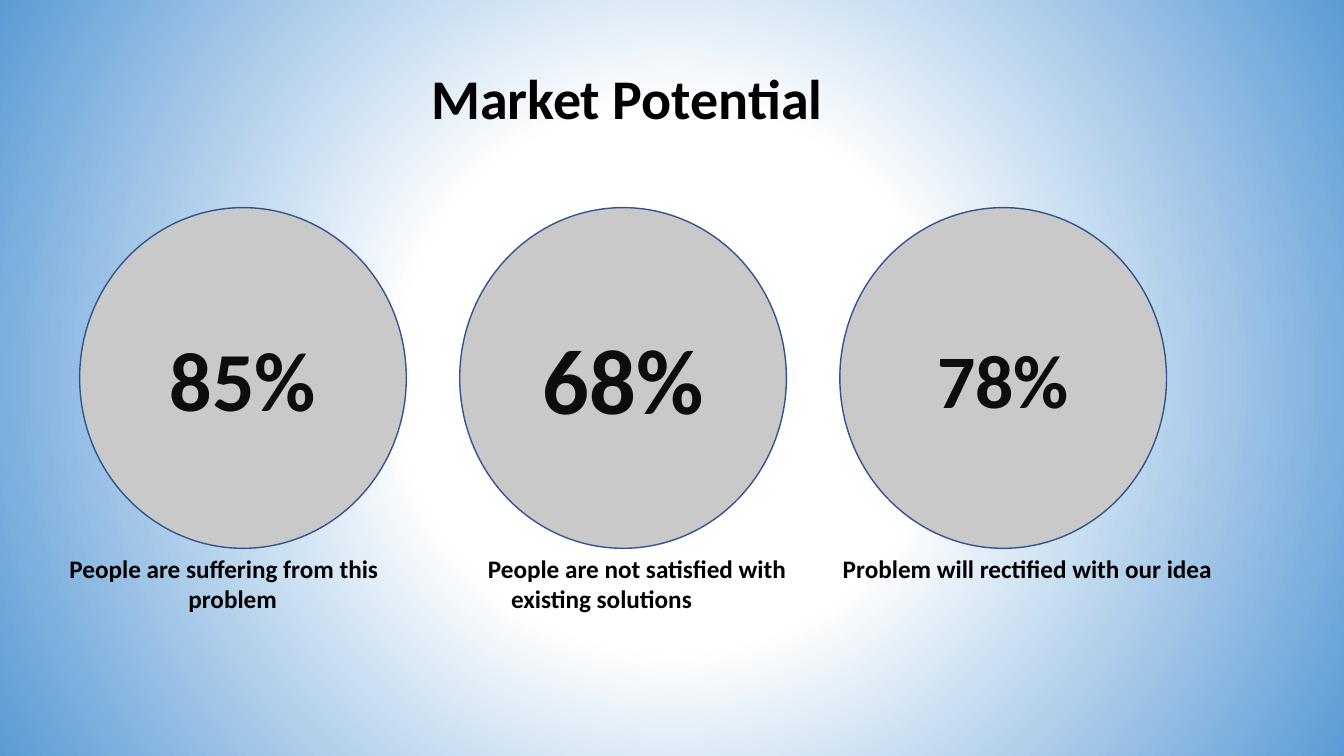
from dataclasses import dataclass

from pptx import Presentation
from pptx.dml.color import RGBColor as Rgb
from pptx.enum.shapes import MSO_SHAPE as Kind
from pptx.enum.text import MSO_ANCHOR as Anchor, MSO_AUTO_SIZE as Fit, PP_ALIGN as Align
from pptx.oxml import parse_xml
from pptx.oxml.ns import nsdecls, qn
from pptx.slide import Slide
from pptx.text.text import _Paragraph as Para
from pptx.util import Inches, Pt


@dataclass(frozen=True)
class Theme:
    font: str = "Calibri"
    ink: str = "000000"
    dark: str = "0D0D0D"
    disc: str = "C9C9C9"
    edge: str = "325491"
    glow: str = "FFFFFF"
    rim: str = "5B9BD5"
    title: int = 40
    note: int = 18


@dataclass(frozen=True)
class Line:
    text: str
    indent: float = 0


@dataclass(frozen=True)
class Stat:
    value: str
    size: int
    left: float
    width: float
    lines: tuple[Line, ...]


THEME = Theme()
STATS = (
    Stat("85%", 60, 0.59, 4.24,
         (Line("People are suffering from this"), Line("problem", 1.18))),
    Stat("68%", 66, 4.74, 3.59,
         (Line("People are not satisfied with"), Line("existing solutions", 0.23))),
    Stat("78%", 54, 8.26, 3.98, (Line("Problem will rectified with our idea"),)),
)
LEFT, TOP, STEP = 0.79, 2.06, 3.77
WIDE, HIGH = 3.24, 3.38


def style(para: Para, size: int, color: str) -> None:
    """Apply the bold theme font to a paragraph."""
    font = para.font
    font.name, font.size, font.bold = THEME.font, Pt(size), True
    font.color.rgb = Rgb.from_string(color)


def paint(slide: Slide) -> None:
    """Fill the background with a circular glow."""
    slide.background.fill.solid()
    back = slide.element.find(".//" + qn("p:bgPr"))
    stops = "".join(
        f'<a:gs pos="{spot * 1000}"><a:srgbClr val="{color}"/></a:gs>'
        for spot, color in ((0, THEME.glow), (35, THEME.glow), (100, THEME.rim))
    )
    back.replace(back[0], parse_xml(
        f'<a:gradFill {nsdecls("a")} rotWithShape="1"><a:gsLst>{stops}</a:gsLst>'
        '<a:path path="circle"><a:fillToRect l="50000" t="50000" r="50000" b="50000"/>'
        '</a:path></a:gradFill>'
    ))


def write(slide: Slide, left: float, top: float, width: float, height: float,
          lines: tuple[Line, ...], size: int) -> None:
    """Add a text box with one paragraph per line."""
    box = slide.shapes.add_textbox(Inches(left), Inches(top), Inches(width), Inches(height))
    frame = box.text_frame
    frame.word_wrap = True
    frame.auto_size = Fit.SHAPE_TO_FIT_TEXT
    for i, line in enumerate(lines):
        para = frame.add_paragraph() if i else frame.paragraphs[0]
        para.text = line.text
        style(para, size, THEME.ink)
        if line.indent:
            para._p.get_or_add_pPr().set("marL", str(Inches(line.indent)))


def disc(slide: Slide, left: float, stat: Stat) -> None:
    """Add a circle with its percentage."""
    shape = slide.shapes.add_shape(Kind.OVAL, Inches(left), Inches(TOP), Inches(WIDE), Inches(HIGH))
    shape.shadow.inherit = False
    shape.fill.solid()
    shape.fill.fore_color.rgb = Rgb.from_string(THEME.disc)
    shape.line.color.rgb = Rgb.from_string(THEME.edge)
    shape.line.width = Pt(1)
    frame = shape.text_frame
    frame.vertical_anchor = Anchor.MIDDLE
    para = frame.paragraphs[0]
    para.text = stat.value
    para.alignment = Align.CENTER
    style(para, stat.size, THEME.dark)


def main() -> None:
    """Build and save the slide."""
    deck = Presentation()
    deck.slide_width, deck.slide_height = Inches(13.33), Inches(7.5)
    slide = deck.slides.add_slide(deck.slide_layouts[6])
    paint(slide)
    write(slide, 4.18, 0.58, 4.72, 0.77, (Line("Market Potential"),), THEME.title)
    for i, stat in enumerate(STATS):
        disc(slide, LEFT + i * STEP, stat)
    for stat in STATS:
        height = 0.1 + 0.3 * len(stat.lines)
        write(slide, stat.left, TOP + HIGH, stat.width, height, stat.lines, THEME.note)
    deck.save("out.pptx")


if __name__ == "__main__":
    main()
